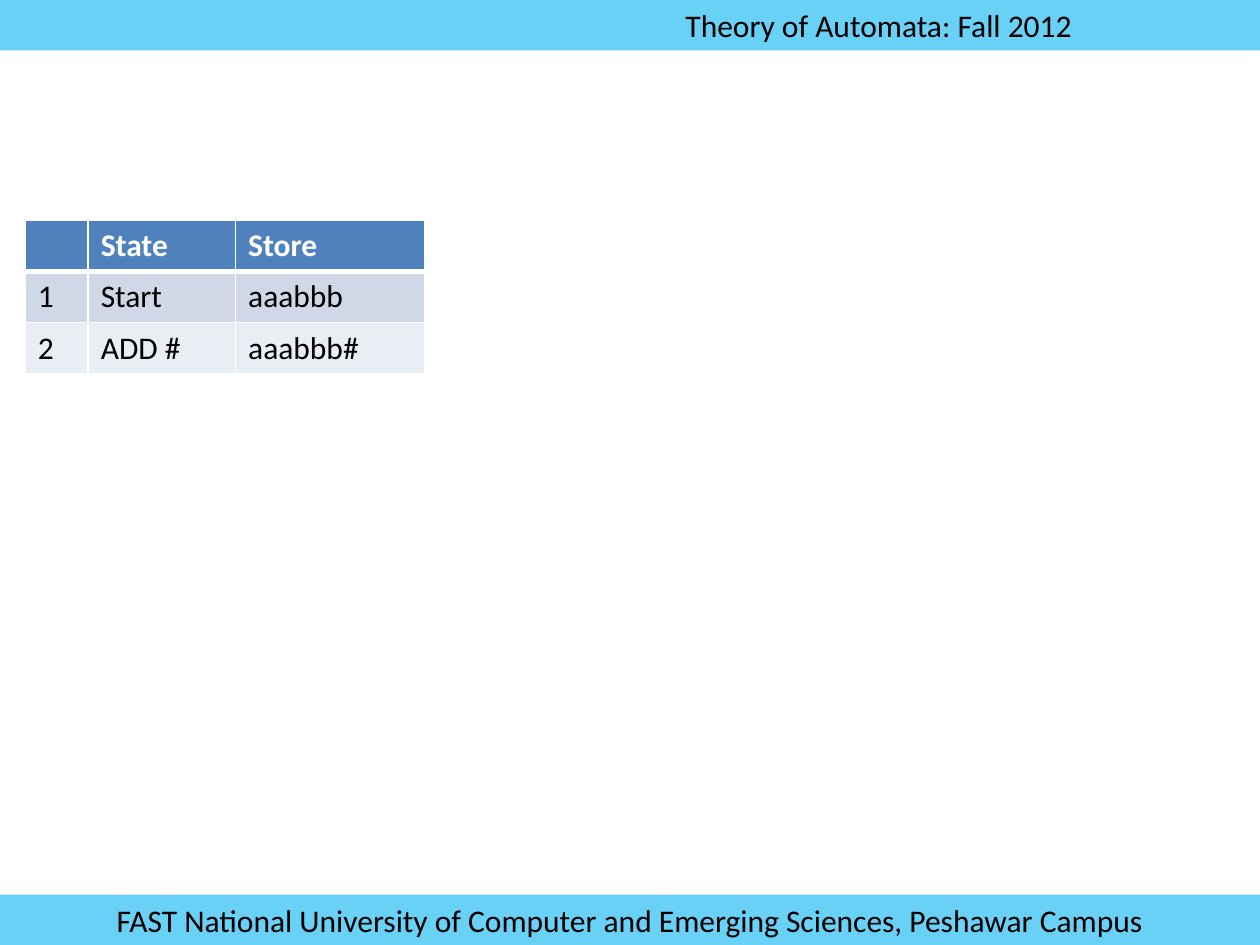
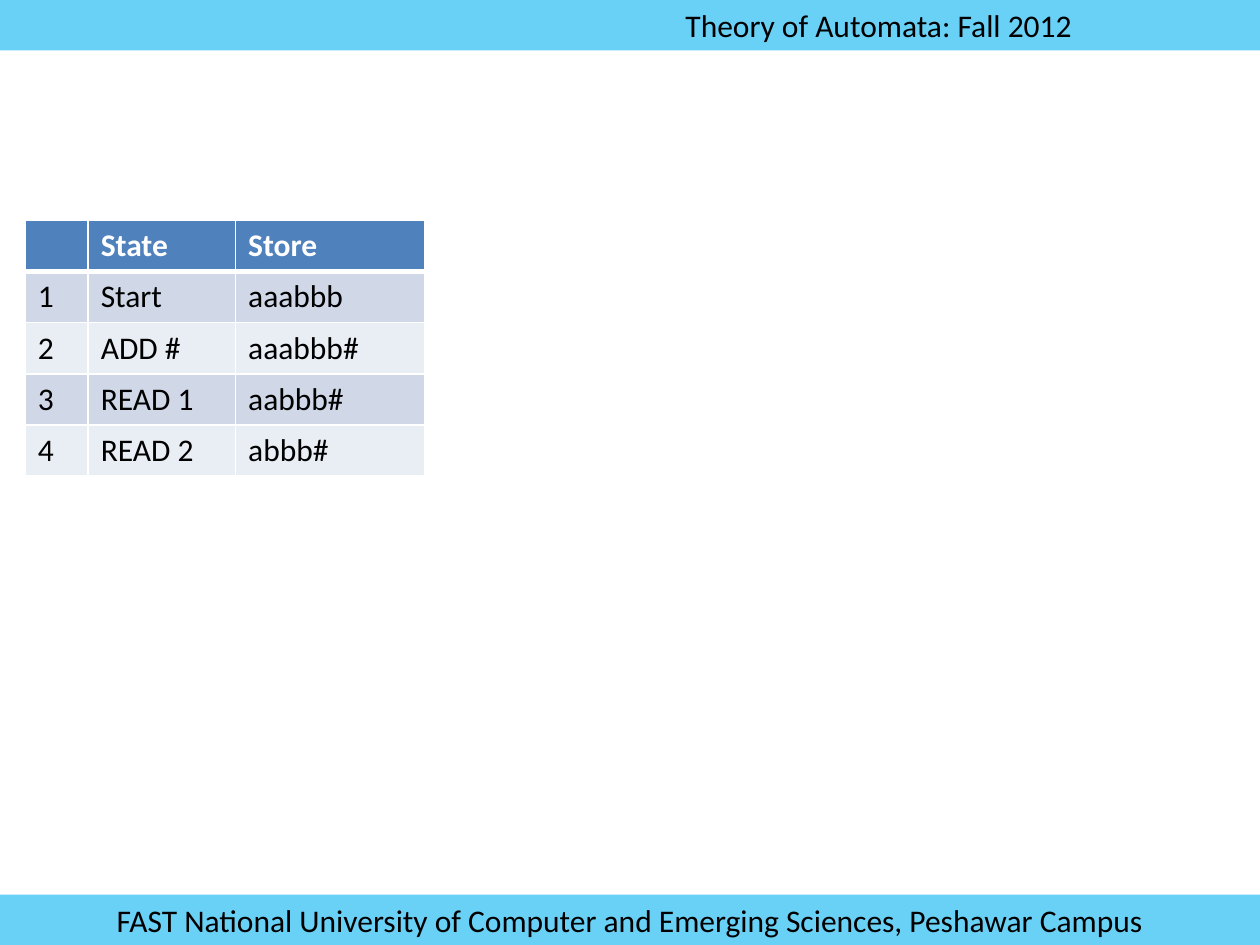
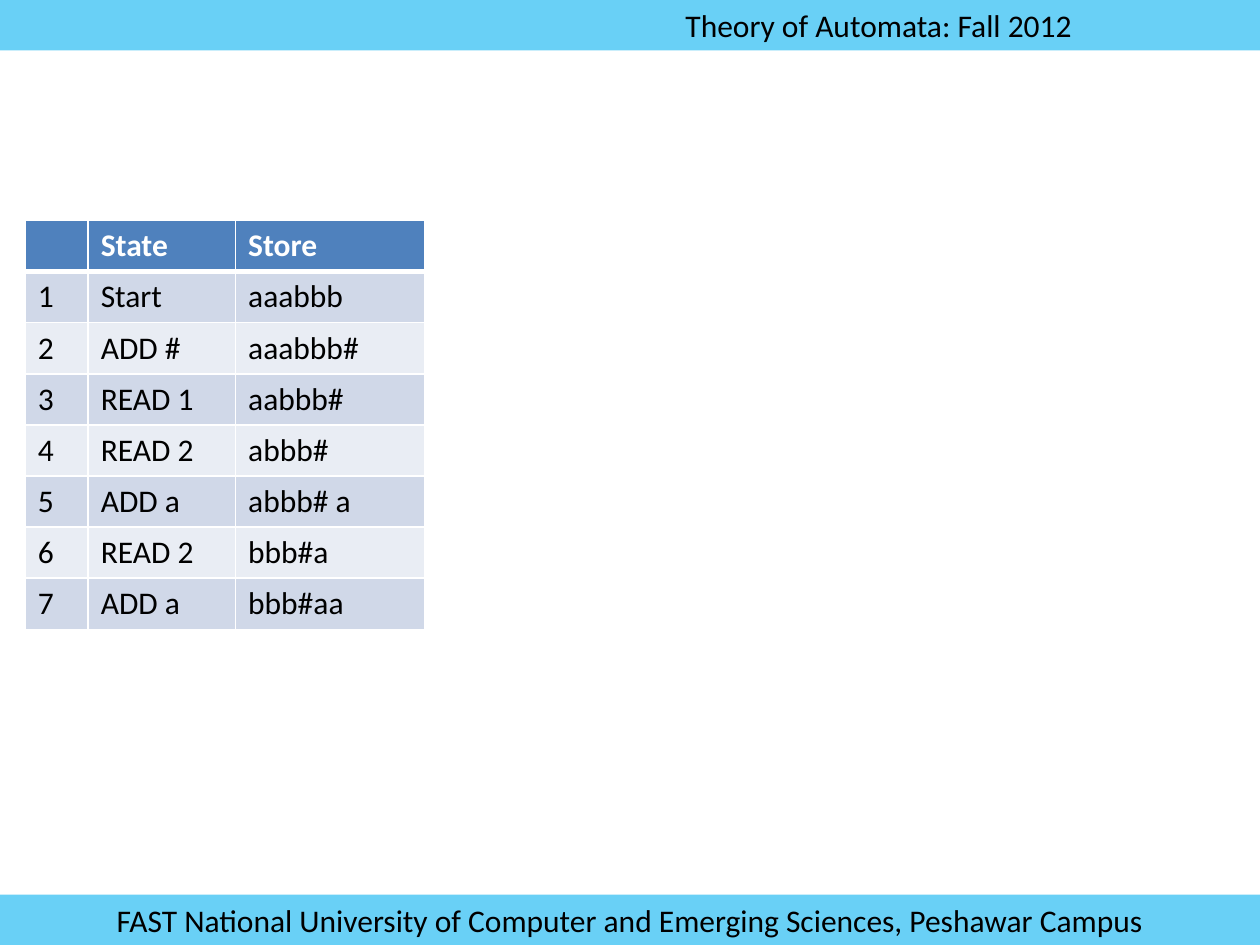
from lxml.etree import SubElement
from pptx import Presentation
from pptx.dml.color import RGBColor
from pptx.enum.shapes import MSO_SHAPE
from pptx.enum.text import MSO_ANCHOR, PP_ALIGN
from pptx.oxml import parse_xml
from pptx.oxml.ns import nsdecls, qn
from pptx.util import Inches, Pt

BLACK = RGBColor(0x00, 0x00, 0x00)
WHITE = RGBColor(0xFF, 0xFF, 0xFF)
BAND_BLUE = RGBColor(0x00, 0xB0, 0xF0)
HEADER_BLUE = RGBColor(0x4F, 0x81, 0xBD)
ROW_TINTS = (RGBColor(0xD0, 0xD8, 0xE8), RGBColor(0xE9, 0xED, 0xF4))

BODY_FONT = {"name": "Calibri", "size": Pt(18), "bold": False}
HEADER_FONT = {**BODY_FONT, "bold": True}

SLIDE_WIDTH, SLIDE_HEIGHT = Inches(10), Inches(7.5)
BAND_HEIGHT = Inches(0.4)
BAND_OPACITY = 59
COURSE_INDENT = Inches(5.44)
COLUMN_WIDTHS = (Inches(0.5), Inches(1.17), Inches(1.5))
ROW_HEIGHT = Pt(29.2)

COURSE = "Theory of Automata: Fall 2012"
CAMPUS = "FAST National University of Computer and Emerging Sciences, Peshawar Campus"
HEADINGS = ("", "State", "Store")
TRACE = (
    ("Start", "aaabbb"),
    ("ADD #", "aaabbb#"),
    ("READ 1", "aabbb#"),
    ("READ 2", "abbb#"),
    ("ADD a", "abbb# a"),
    ("READ 2", "bbb#a"),
    ("ADD a", "bbb#aa"),
)
STEPS_PER_SLIDE = (2, 4, 7)


def write_text(text_frame, text, font_format, color, alignment=PP_ALIGN.LEFT):
    paragraph = text_frame.paragraphs[0]
    paragraph.text = text
    paragraph.alignment = alignment
    for name, value in font_format.items():
        setattr(paragraph.font, name, value)
    paragraph.font.color.rgb = color


def add_band(slide, top, text, alignment, indent=Inches(0.1)):
    band = slide.shapes.add_shape(MSO_SHAPE.RECTANGLE, 0, top, SLIDE_WIDTH, BAND_HEIGHT)
    band.shadow.inherit = False
    band.line.fill.background()
    band.fill.solid()
    band.fill.fore_color.rgb = BAND_BLUE
    fill_color = band.fill._xPr.find(qn("a:solidFill"))[0]
    SubElement(fill_color, qn("a:alpha"), val=str(BAND_OPACITY * 1000))
    frame_format = {
        "margin_left": indent,
        "vertical_anchor": MSO_ANCHOR.MIDDLE,
        "word_wrap": True,
    }
    for name, value in frame_format.items():
        setattr(band.text_frame, name, value)
    write_text(band.text_frame, text, BODY_FONT, BLACK, alignment)


def set_borders(cell, top=Pt(1), bottom=Pt(1)):
    """Draw white lines on all four sides of a cell."""
    widths = {"lnL": Pt(1), "lnR": Pt(1), "lnT": top, "lnB": bottom}
    properties = cell._tc.get_or_add_tcPr()
    for index, (side, width) in enumerate(widths.items()):
        properties.insert(index, parse_xml(
            f'<a:{side} {nsdecls("a")} w="{width}"><a:solidFill>'
            f'<a:srgbClr val="{WHITE}"/></a:solidFill></a:{side}>'))


def add_trace_table(slide, step_count):
    """Show the first steps of the trace under a header row."""
    steps = [(str(number), *step) for number, step in enumerate(TRACE[:step_count], 1)]
    rows = [HEADINGS, *steps]
    table = slide.shapes.add_table(
        len(rows), len(HEADINGS), Inches(0.2), Inches(1.75),
        sum(COLUMN_WIDTHS), ROW_HEIGHT * len(rows)).table
    for column, width in zip(table.columns, COLUMN_WIDTHS):
        column.width = width
    for row_index, texts in enumerate(rows):
        is_header = row_index == 0
        fill = HEADER_BLUE if is_header else ROW_TINTS[(row_index - 1) % 2]
        font_format, color = (HEADER_FONT, WHITE) if is_header else (BODY_FONT, BLACK)
        for column_index, text in enumerate(texts):
            cell = table.cell(row_index, column_index)
            cell.fill.solid()
            cell.fill.fore_color.rgb = fill
            set_borders(cell, top=Pt(3 if row_index == 1 else 1),
                        bottom=Pt(3 if is_header else 1))
            write_text(cell.text_frame, text, font_format, color)


def main():
    presentation = Presentation()
    presentation.slide_width = SLIDE_WIDTH
    presentation.slide_height = SLIDE_HEIGHT
    blank_layout = presentation.slide_layouts[6]
    for step_count in STEPS_PER_SLIDE:
        slide = presentation.slides.add_slide(blank_layout)
        add_band(slide, 0, COURSE, PP_ALIGN.LEFT, COURSE_INDENT)
        add_band(slide, SLIDE_HEIGHT - BAND_HEIGHT, CAMPUS, PP_ALIGN.CENTER)
        add_trace_table(slide, step_count)
    presentation.save("out.pptx")


if __name__ == "__main__":
    main()
